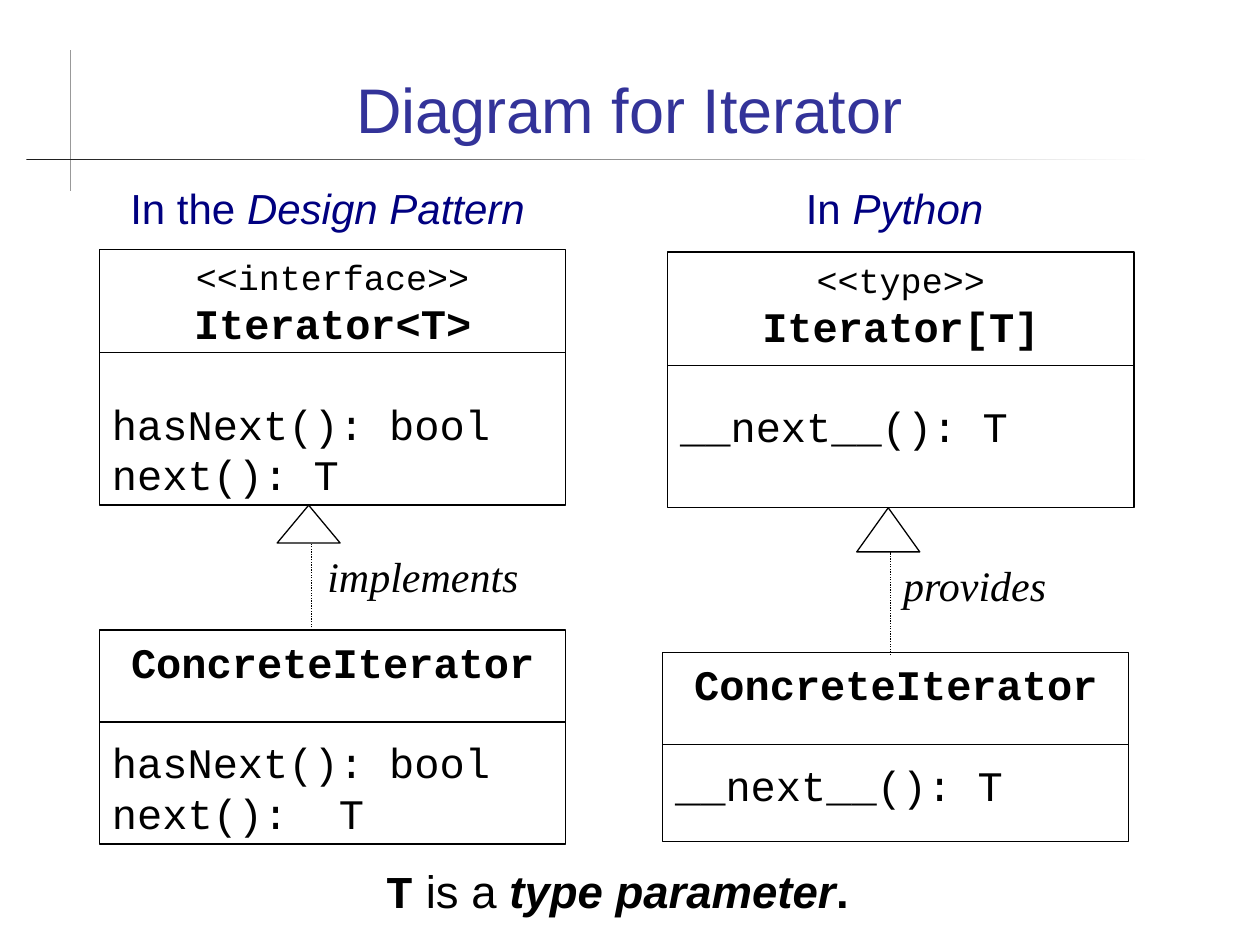
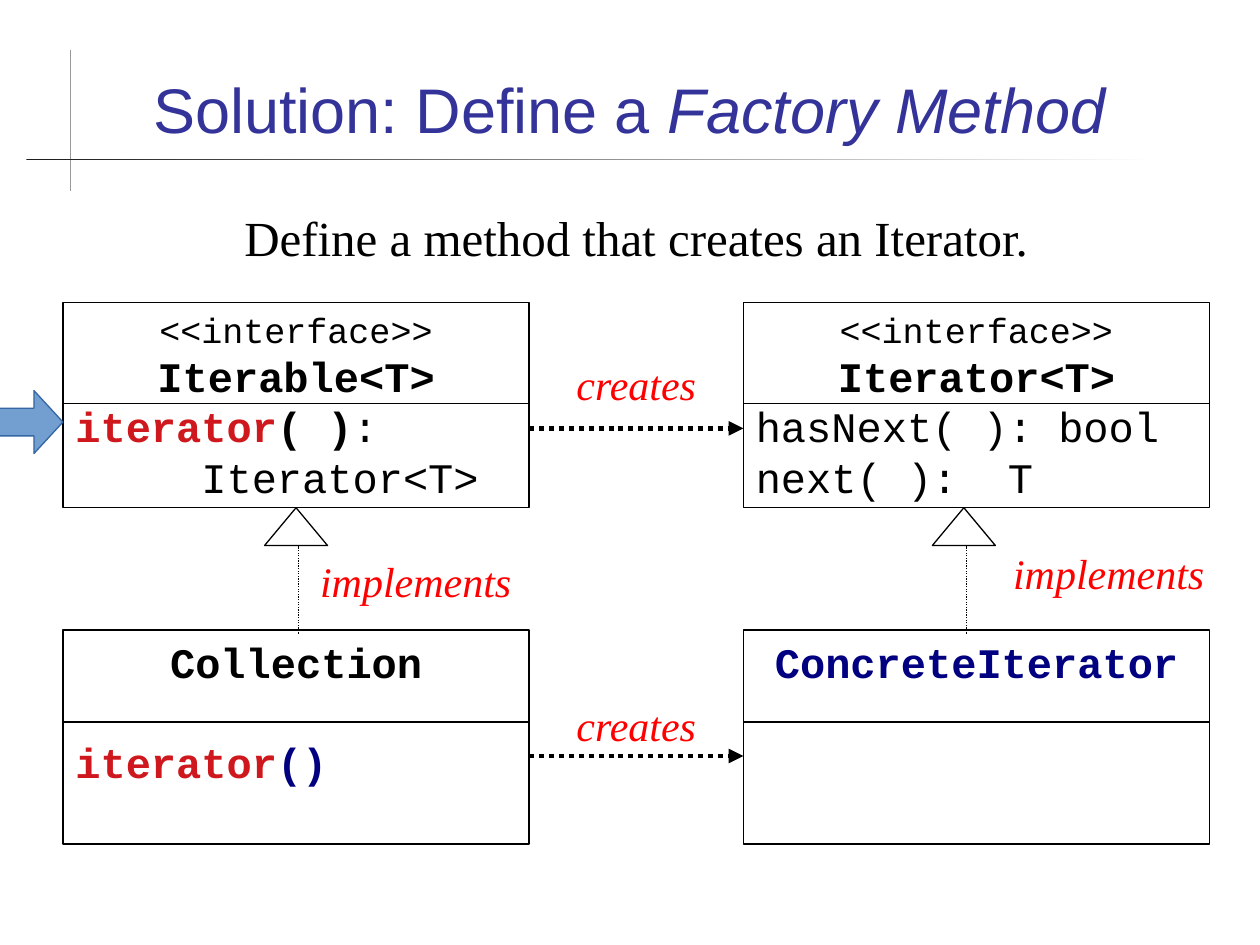
from lxml.etree import SubElement
from pptx import Presentation
from pptx.dml.color import RGBColor
from pptx.enum.dml import MSO_LINE
from pptx.enum.shapes import MSO_CONNECTOR, MSO_SHAPE
from pptx.enum.text import MSO_ANCHOR, PP_ALIGN
from pptx.oxml.ns import qn
from pptx.util import Inches, Pt

BLACK = RGBColor(0x00, 0x00, 0x00)
WHITE = RGBColor(0xFF, 0xFF, 0xFF)
RULE = RGBColor(0x1C, 0x1C, 0x1C)
RULE_GREY = RGBColor(0x99, 0x99, 0x99)
TITLE_BLUE = RGBColor(0x33, 0x33, 0x99)
NAVY = RGBColor(0x00, 0x00, 0x80)
RED = RGBColor(0xFF, 0x00, 0x00)
METHOD_RED = RGBColor(0xCE, 0x18, 0x1E)
ARROW_FILL = RGBColor(0x72, 0x9F, 0xCF)
ARROW_LINE = RGBColor(0x34, 0x65, 0xA4)

SANS, SERIF, MONO = "Arial", "Times New Roman", "Courier New"
CLASS_WIDTH = 3.7
ONE_LINE = 28.8  # height of a 24 point line, in points


def write(frame, text, font=MONO, size=24, color=BLACK, bold=False, italic=False,
          align=PP_ALIGN.LEFT, before=0, indent=0, same_line=False):
    """Add text as a new paragraph, or at the end of the last one."""
    para = frame.paragraphs[-1]
    if not same_line:
        if para.runs:
            para = frame.add_paragraph()
        para.alignment = align
        para.space_before = Pt(before)
        if indent:
            para._p.get_or_add_pPr().set("marL", str(Inches(indent)))
    span = para.add_run()
    span.text = text
    span.font.name = font
    span.font.size = Pt(size)
    span.font.color.rgb = color
    span.font.bold = bold
    span.font.italic = italic


def add_frame(slide, left, top, width, height, anchor=MSO_ANCHOR.TOP):
    box = slide.shapes.add_textbox(Inches(left), Inches(top), Inches(width), Inches(height))
    box.text_frame.word_wrap = True
    box.text_frame.vertical_anchor = anchor
    return box.text_frame


def add_label(slide, text, left, top, width, color=RED, align=PP_ALIGN.CENTER):
    write(add_frame(slide, left, top, width, 0.5), text, font=SERIF,
          color=color, italic=True, align=align)


def add_heading(slide, left, plain, emphasis):
    frame = add_frame(slide, left, 1.4, 3.6, 0.5)
    write(frame, plain, font=SANS, color=NAVY, align=PP_ALIGN.CENTER)
    write(frame, emphasis, font=SANS, color=NAVY, italic=True, same_line=True)


def add_shape(slide, kind, left, top, width, height, fill=None, line=BLACK):
    shape = slide.shapes.add_shape(kind, Inches(left), Inches(top),
                                   Inches(width), Inches(height))
    shape.shadow.inherit = False
    if fill is None:
        shape.fill.background()
    else:
        shape.fill.solid()
        shape.fill.fore_color.rgb = fill
    if line is None:
        shape.line.fill.background()
    else:
        shape.line.color.rgb = line
        shape.line.width = Pt(0.75)
    return shape


def add_line(slide, x1, y1, x2, y2, color=BLACK, width=0.75, dotted=False, arrow=False):
    line = slide.shapes.add_connector(MSO_CONNECTOR.STRAIGHT, Inches(x1), Inches(y1),
                                      Inches(x2), Inches(y2))
    line.line.color.rgb = color
    line.line.width = Pt(width)
    if dotted:
        line.line.dash_style = MSO_LINE.ROUND_DOT
    if arrow:
        SubElement(line.line._get_or_add_ln(), qn("a:tailEnd"), type="triangle")
    SubElement(line._element.spPr, qn("a:effectLst"))


def add_class(slide, left, top, bottom, divider, name, stereotype=None, color=BLACK):
    """Draw a class box with its name and return its text frame for the methods."""
    box = add_shape(slide, MSO_SHAPE.RECTANGLE, left, top, CLASS_WIDTH, bottom - top)
    frame = box.text_frame
    frame.word_wrap = True
    frame.vertical_anchor = MSO_ANCHOR.TOP
    if stereotype:
        write(frame, f"<<{stereotype}>>", size=20, align=PP_ALIGN.CENTER)
    write(frame, name, color=color, bold=True, align=PP_ALIGN.CENTER)
    add_line(slide, left, divider, left + CLASS_WIDTH, divider)
    return frame


def add_methods(frame, methods, before=0):
    """Write one method a line, with a gap before the first."""
    for number, method in enumerate(methods):
        write(frame, method, before=0 if number else before)


def add_realization(slide, left, top, bottom, head=0.3):
    """Draw the hollow triangle and dotted line from a class up to its type."""
    add_shape(slide, MSO_SHAPE.ISOSCELES_TRIANGLE, left, top, 0.5, head, fill=WHITE)
    stem = left + 0.27
    add_line(slide, stem, bottom, stem, top + head, dotted=True)


def add_creates(slide, y, label_top):
    add_line(slide, 4.2, y, 5.9, y, width=2.83, dotted=True, arrow=True)
    add_label(slide, "creates", 4.2, label_top, 1.7)


def add_page(deck, title, emphasis=""):
    slide = deck.slides.add_slide(deck.slide_layouts[6])
    add_line(slide, 0.56, 0.4, 0.56, 1.52, color=RULE_GREY, width=0.25)
    rule = add_shape(slide, MSO_SHAPE.RECTANGLE, 0.21, 1.26, 8.96, 0.01, line=None)
    rule.fill.gradient()
    rule.fill.gradient_angle = 0
    for stop, color in zip(rule.fill.gradient_stops, (RULE, WHITE)):
        stop.color.rgb = color
    frame = add_frame(slide, 0.67, 0.28, 8.65, 0.93, anchor=MSO_ANCHOR.BOTTOM)
    write(frame, title, font=SANS, size=36, color=TITLE_BLUE, align=PP_ALIGN.CENTER)
    if emphasis:
        write(frame, emphasis, font=SANS, size=36, color=TITLE_BLUE,
              italic=True, same_line=True)
    return slide


def add_diagram_page(deck):
    slide = add_page(deck, "Diagram for Iterator")
    add_heading(slide, 0.8, "In the ", "Design Pattern")
    add_heading(slide, 5.3, "In ", "Python")

    pattern = add_class(slide, 0.79, 1.98, 4.01, 2.8, "Iterator<T>", "interface")
    add_methods(pattern, ["hasNext(): bool", "next(): T"], before=ONE_LINE)
    concrete = add_class(slide, 0.79, 5, 6.7, 5.73, "ConcreteIterator")
    add_methods(concrete, ["hasNext(): bool", "next():  T"], before=ONE_LINE)
    add_realization(slide, 2.2, 4.01, 5)
    add_label(slide, "implements", 2.5, 4.32, 1.8, BLACK, PP_ALIGN.LEFT)

    python_type = add_class(slide, 5.3, 2, 4.03, 2.9, "Iterator[T]", "type")
    python_class = add_class(slide, 5.26, 5.18, 6.68, 5.91, "ConcreteIterator")
    for frame in (python_type, python_class):
        add_methods(frame, ["__next__(): T"], before=ONE_LINE)
    add_realization(slide, 6.8, 4.03, 5.2, head=0.35)
    add_label(slide, "provides", 7.07, 4.39, 1.8, BLACK, PP_ALIGN.LEFT)

    note = add_frame(slide, 1, 6.8, 7.8, 0.53)
    write(note, "T", size=26, bold=True, align=PP_ALIGN.CENTER)
    for text, bold, italic in ((" is a ", False, False),
                               ("type parameter", True, True), (".", True, False)):
        write(note, text, font=SANS, size=26, bold=bold, italic=italic, same_line=True)


def add_factory_page(deck):
    slide = add_page(deck, "Solution: Define a ", "Factory Method")
    write(add_frame(slide, 0.6, 1.6, 8.9, 0.56), "Define a method that creates an Iterator.",
          font=SERIF, size=28, align=PP_ALIGN.CENTER)

    iterable = add_class(slide, 0.5, 2.4, 4.03, 3.2, "Iterable<T>", "interface")
    write(iterable, "iterator", color=METHOD_RED, bold=True)
    write(iterable, "( )", bold=True, same_line=True)
    write(iterable, ":", same_line=True)
    write(iterable, "Iterator<T>", indent=1)
    iterator = add_class(slide, 5.9, 2.4, 4.03, 3.2, "Iterator<T>", "interface")
    add_methods(iterator, ["hasNext( ): bool", "next( ):  T"])

    collection = add_class(slide, 0.5, 5, 6.7, 5.73, "Collection")
    write(collection, "iterator", color=METHOD_RED, bold=True, before=ONE_LINE)
    write(collection, "()", color=NAVY, bold=True, same_line=True)
    add_class(slide, 5.9, 5, 6.7, 5.73, "ConcreteIterator", color=NAVY)

    add_creates(slide, 3.4, 2.8)
    add_creates(slide, 6, 5.5)
    for triangle_left, label_left, label_top in ((2.1, 2.3, 4.36), (7.4, 7.8, 4.3)):
        add_realization(slide, triangle_left, 4.03, 5.03)
        add_label(slide, "implements", label_left, label_top, 2)

    pointer = add_shape(slide, MSO_SHAPE.RIGHT_ARROW, -0.2, 3.1, 0.7, 0.5,
                        fill=ARROW_FILL, line=ARROW_LINE)
    pointer.adjustments[0] = 0.44
    pointer.adjustments[1] = 0.46


def main():
    deck = Presentation()
    deck.slide_width, deck.slide_height = Inches(10), Inches(7.5)
    add_diagram_page(deck)
    add_factory_page(deck)
    deck.save("out.pptx")


if __name__ == "__main__":
    main()
